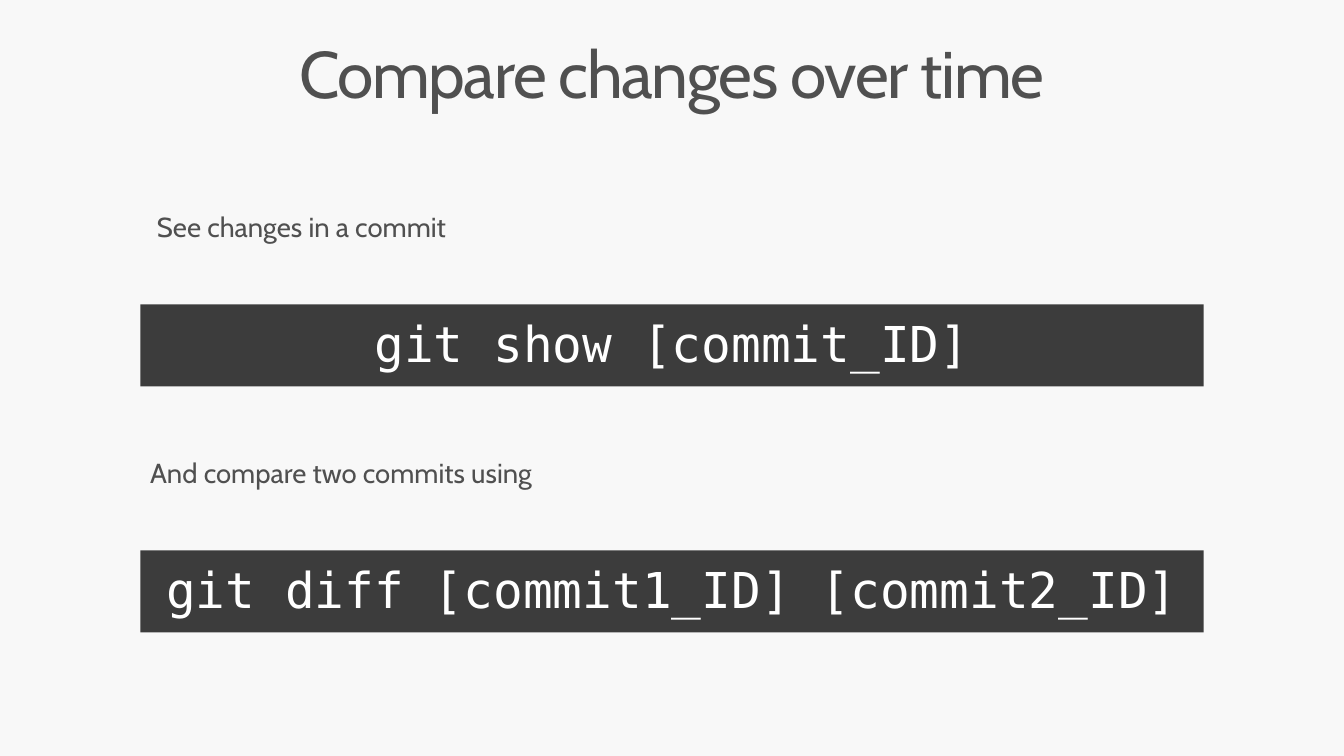
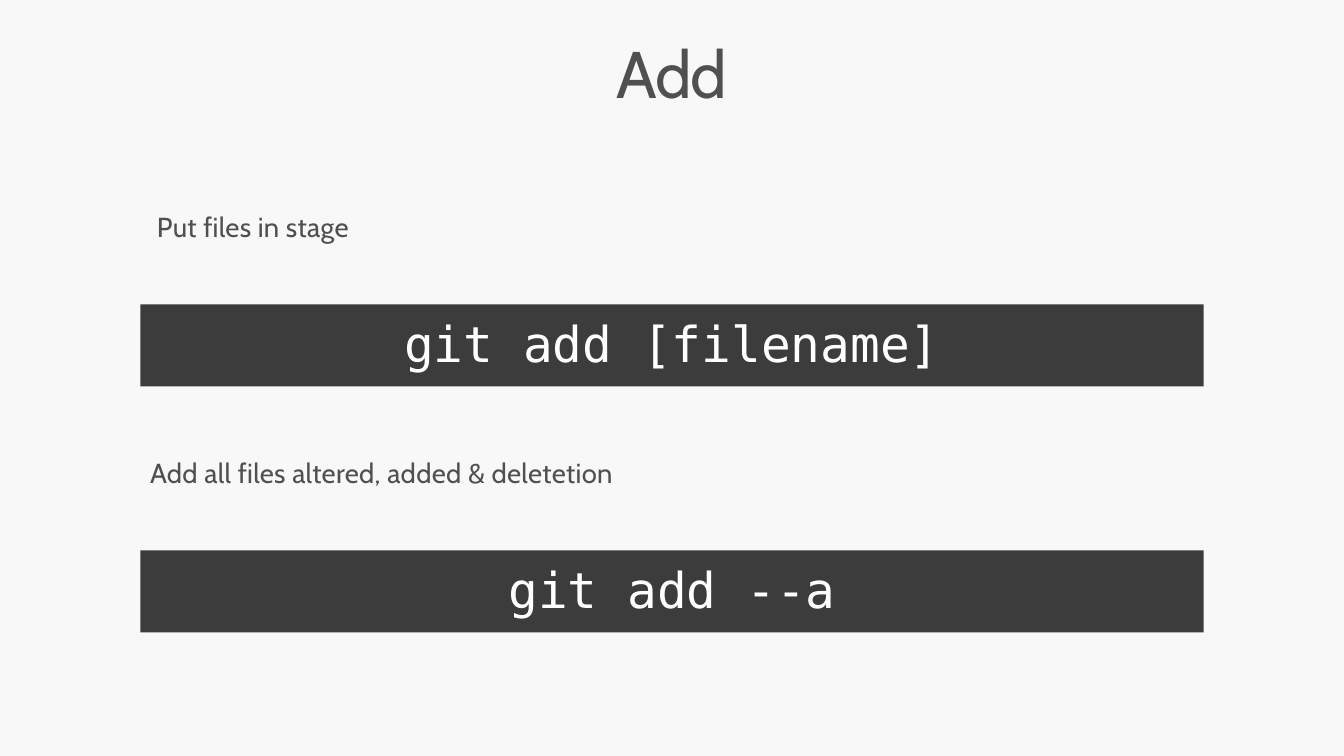
from dataclasses import dataclass

from pptx import Presentation
from pptx.dml.color import RGBColor
from pptx.enum import shapes, text
from pptx.util import Inches, Pt


@dataclass(frozen=True)
class Theme:
    back: str = "F8F8F8"
    ink: str = "505050"
    bar: str = "3C3C3C"
    light: str = "FFFFFF"
    sans: str = "Cabin"
    mono: str = "DejaVu Sans Mono"
    head: int = 48
    code: int = 36
    body: int = 20


def write(shape, words, *, font, size, color, align=text.PP_ALIGN.LEFT,
          lines=0.9, track=0, pad=(0.1, 0.05), grow=False):
    frame = shape.text_frame
    frame.word_wrap = True
    frame.vertical_anchor = text.MSO_ANCHOR.TOP
    frame.auto_size = (text.MSO_AUTO_SIZE.SHAPE_TO_FIT_TEXT if grow
                       else text.MSO_AUTO_SIZE.NONE)
    frame.margin_left = frame.margin_right = Inches(pad[0])
    frame.margin_top = frame.margin_bottom = Inches(pad[1])
    para = frame.paragraphs[0]
    para.alignment = align
    para.line_spacing = lines
    run = para.add_run()
    run.text = words
    run.font.name = font
    run.font.size = Pt(size)
    run.font.color.rgb = RGBColor.from_string(color)
    if track:
        run.font._element.set("spc", str(round(track * 100)))


class Deck:
    def __init__(self, theme):
        self.theme = theme
        self.show = Presentation()
        self.show.slide_width = Inches(13.6)
        self.show.slide_height = Inches(7.65)
        self.slide = None

    def page(self):
        self.slide = self.show.slides.add_slide(self.show.slide_layouts[6])
        fill = self.slide.background.fill
        fill.solid()
        fill.fore_color.rgb = RGBColor.from_string(self.theme.back)

    def box(self, *rect):
        return self.slide.shapes.add_textbox(*map(Inches, rect))

    def title(self, words):
        look = self.theme
        write(self.box(0.3, 0.32, 13, 1), words, font=look.sans,
              size=look.head, color=look.ink, align=text.PP_ALIGN.CENTER,
              track=-1, pad=(0.16, 0.1))

    def label(self, words, left, top, high, track):
        look = self.theme
        write(self.box(left, top, 10.56, high), words, font=look.sans,
              size=look.body, color=look.ink, lines=1.25, track=track,
              grow=True)

    def code(self, words, top):
        look = self.theme
        bar = self.slide.shapes.add_shape(
            shapes.MSO_SHAPE.RECTANGLE,
            *map(Inches, (1.42, top, 10.76, 0.83)))
        bar.shadow.inherit = False
        bar.fill.solid()
        bar.fill.fore_color.rgb = RGBColor.from_string(look.bar)
        bar.line.fill.background()
        write(bar, words, font=look.mono, size=look.code, color=look.light,
              align=text.PP_ALIGN.CENTER, pad=(0.2, 0.16))


ROWS = [(1.49, 1.99, 0.48, 1.09), (1.42, 4.48, 0.52, 1.09)]

PAGES = [
    ("Compare changes over time", 0, [
        ("See changes in a commit", "git show [commit_ID]"),
        ("And compare two commits using",
         "git diff [commit1_ID] [commit2_ID]"),
    ]),
    ("Add", 0.2, [
        ("Put files in stage", "git add [filename]"),
        ("Add all files altered, added & deletetion", "git add --a"),
    ]),
]


def main():
    deck = Deck(Theme())
    for head, track, steps in PAGES:
        deck.page()
        deck.title(head)
        for (left, top, high, drop), (note, code) in zip(ROWS, steps):
            deck.code(code, top + drop)
            deck.label(note, left, top, high, track)
    deck.show.save("out.pptx")


if __name__ == "__main__":
    main()
